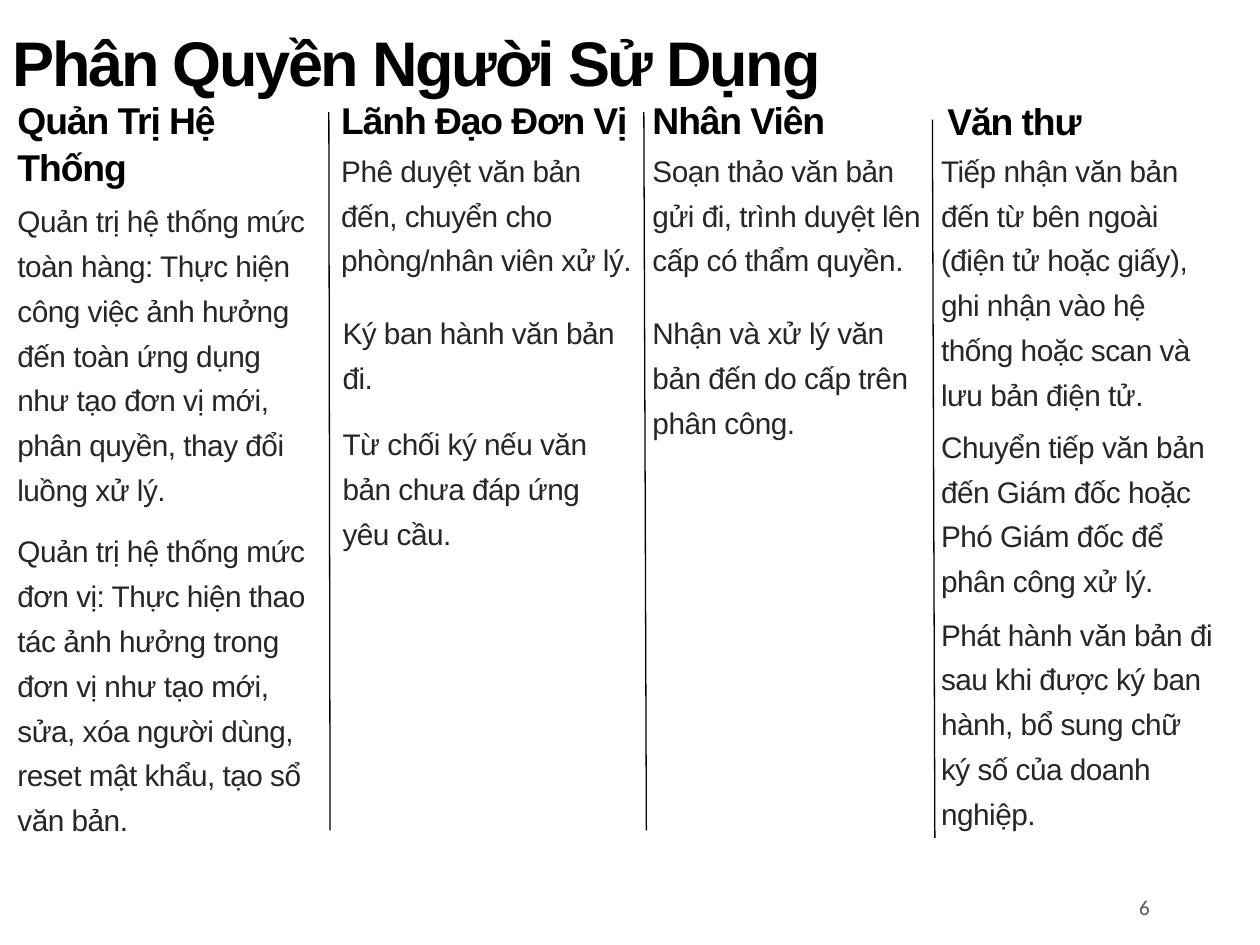
from pptx import Presentation
from pptx.dml.color import RGBColor
from pptx.enum.shapes import MSO_CONNECTOR
from pptx.enum.text import MSO_AUTO_SIZE
from pptx.oxml.ns import qn
from pptx.util import Inches, Pt
from lxml.etree import SubElement

COLORS = {"heading": "000000", "body": "272525", "number": "585858", "rule": "000000"}

TITLE = "Phân Quyền Người Sử Dụng"
PAGE_NUMBER = "6"

# Every text: (text, left, top, width, height)
ROLES = [
    {"heading": ("Quản Trị Hệ Thống", 0.04, 0.71, 2.38, 0.74),
     "duties": [
         ("Quản trị hệ thống mức toàn hàng: Thực hiện công việc ảnh hưởng đến toàn ứng dụng "
          "như tạo đơn vị mới, phân quyền, thay đổi luồng xử lý.", 0.04, 1.49, 2.54, 2.48),
         ("Quản trị hệ thống mức đơn vị: Thực hiện thao tác ảnh hưởng trong đơn vị như tạo mới, "
          "sửa, xóa người dùng, reset mật khẩu, tạo sổ văn bản.", 0.04, 4.11, 2.54, 2.48)]},
    {"heading": ("Lãnh Đạo Đơn Vị", 2.61, 0.71, 2.5, 0.37),
     "duties": [
         ("Phê duyệt văn bản đến, chuyển cho phòng/nhân viên xử lý.", 2.61, 1.09, 2.57, 1.42),
         ("Ký ban hành văn bản đi.", 2.62, 2.38, 2.38, 0.71),
         ("Từ chối ký nếu văn bản chưa đáp ứng yêu cầu.", 2.62, 3.26, 2.38, 1.06)]},
    {"heading": ("Nhân Viên", 5.08, 0.71, 2.38, 0.37),
     "duties": [
         ("Soạn thảo văn bản gửi đi, trình duyệt lên cấp có thẩm quyền.", 5.08, 1.09, 2.38, 1.06),
         ("Nhận và xử lý văn bản đến do cấp trên phân công.", 5.08, 2.38, 2.38, 1.06)]},
    {"heading": ("Văn thư", 7.42, 0.72, 2.38, 0.37),
     "duties": [
         ("Tiếp nhận văn bản đến từ bên ngoài (điện tử hoặc giấy), ghi nhận vào hệ thống "
          "hoặc scan và lưu bản điện tử.", 7.37, 1.09, 2.38, 2.13),
         ("Chuyển tiếp văn bản đến Giám đốc hoặc Phó Giám đốc để phân công xử lý.",
          7.37, 3.28, 2.38, 1.42),
         ("Phát hành văn bản đi sau khi được ký ban hành, bổ sung chữ ký số của doanh nghiệp.",
          7.37, 4.77, 2.38, 1.42)]},
]

# Bottom x, bottom y, top x, top y
DIVIDERS = [(2.62, 6.59, 2.61, 0.89), (5.13, 6.59, 5.11, 0.89), (7.42, 6.65, 7.4, 0.95)]

HEADING_STYLE = dict(size=21.3, line=26.6, tracking=-0.6, bold=True)
BODY_STYLE = dict(size=17, line=25.6, tracking=-0.3, color="body")


def add_text(page, text, left, top, width, height, *, size, line, tracking,
             color="heading", font="Arial", bold=False):
    box = page.shapes.add_textbox(Inches(left), Inches(top), Inches(width), Inches(height))
    box.text_frame.word_wrap = True
    para = box.text_frame.paragraphs[0]
    para.line_spacing = Pt(line)
    span = para.add_run()
    span.text = text
    span.font.name = font
    span.font.size = Pt(size)
    span.font.bold = bold
    span.font.color.rgb = RGBColor.from_string(COLORS[color])
    span._r.get_or_add_rPr().set("spc", str(round(tracking * 100)))
    return box


def add_page_number(page):
    box = add_text(page, PAGE_NUMBER, 9, 7.13, 0.27, 0.19, size=12, line=12.4,
                   tracking=-0.2, color="number", font="Calibri")
    frame = box.text_frame
    frame.margin_left = frame.margin_top = frame.margin_right = frame.margin_bottom = 0
    frame.auto_size = MSO_AUTO_SIZE.SHAPE_TO_FIT_TEXT
    frame.paragraphs[0]._p.get_or_add_pPr().set("marL", str(Inches(0.04)))


def add_divider(page, ends):
    divider = page.shapes.add_connector(MSO_CONNECTOR.STRAIGHT, *map(Inches, ends))
    divider.line.color.rgb = RGBColor.from_string(COLORS["rule"])
    divider.line.width = Pt(0.75)
    SubElement(divider._element.spPr, qn("a:effectLst"))


def main():
    deck = Presentation()
    deck.slide_width, deck.slide_height = Inches(10), Inches(7.5)
    page = deck.slides.add_slide(deck.slide_layouts[6])

    add_page_number(page)
    add_text(page, TITLE, 0, 0, 7.48, 0.64, size=36, line=53.2, tracking=-1.3, bold=True)
    for role in ROLES:
        add_text(page, *role["heading"], **HEADING_STYLE)
        for duty in role["duties"]:
            add_text(page, *duty, **BODY_STYLE)
    for ends in DIVIDERS:
        add_divider(page, ends)

    deck.save("out.pptx")


if __name__ == "__main__":
    main()
